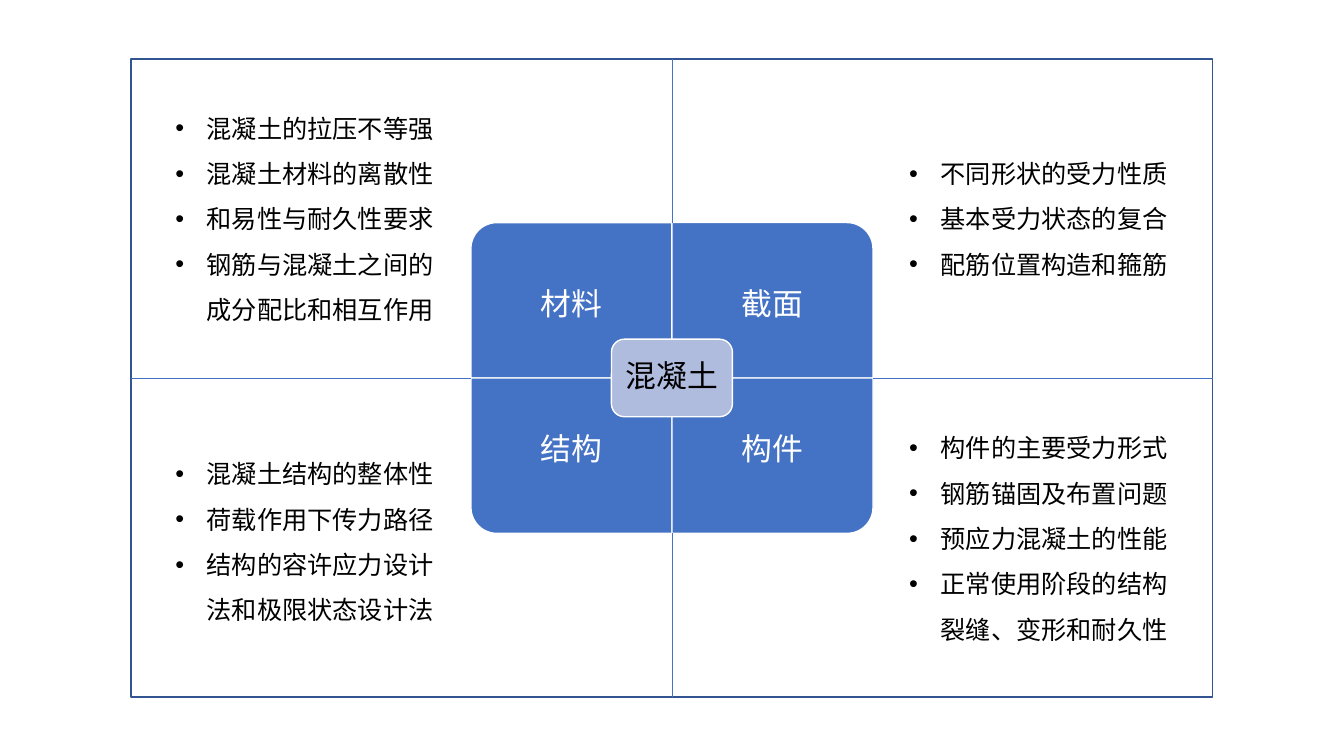
from dataclasses import dataclass
from typing import Any

from lxml import etree
from pptx import Presentation
from pptx import util as u
from pptx.dml import color
from pptx.enum import shapes, text
from pptx.oxml import ns

FONT = "Noto Sans CJK SC"
COLORS = {
    "blue": "4472C4",
    "frame": "325491",
    "hub": "B0BCDE",
    "white": "FFFFFF",
    "black": "000000",
}
CX, CY = 480, 270  # slide centre
FRAME_W, FRAME_H = 386.3, 228  # half sizes of the frame
QUAD_W, QUAD_H = 143.6, 111
LABEL_H = 83
HUB_W, HUB_H = 86.4, 55.4
LIST_W = 205.2
INDENT = 22.5


@dataclass
class Quadrant:
    label: str
    dx: int  # -1 left of centre, 1 right
    dy: int  # -1 above centre, 1 below
    rotation: int
    left: float
    top: float
    height: float
    items: list[str]


QUADRANTS = [
    Quadrant("材料", -1, -1, 270, 118, 66.2, 193, [
        "混凝土的拉压不等强", "混凝土材料的离散性",
        "和易性与耐久性要求", "钢筋与混凝土之间的成分配比和相互作用"]),
    Quadrant("截面", 1, -1, 0, 642.2, 98.6, 127.4, [
        "不同形状的受力性质", "基本受力状态的复合", "配筋位置构造和箍筋"]),
    Quadrant("结构", -1, 1, 180, 118, 313.2, 159.8, [
        "混凝土结构的整体性", "荷载作用下传力路径",
        "结构的容许应力设计法和极限状态设计法"]),
    Quadrant("构件", 1, 1, 90, 642.2, 294.5, 225.4, [
        "构件的主要受力形式", "钢筋锚固及布置问题",
        "预应力混凝土的性能", "正常使用阶段的结构裂缝、变形和耐久性"]),
]


def rgb(name: str) -> color.RGBColor:
    return color.RGBColor.from_string(COLORS[name])


def set_attrs(obj: Any, values: dict[str, Any]) -> None:
    for name, value in values.items():
        setattr(obj, name, value)


def place(sp: Any, x: float, y: float, w: float, h: float) -> None:
    set_attrs(sp, {"left": u.Pt(x), "top": u.Pt(y),
                   "width": u.Pt(w), "height": u.Pt(h)})


def set_frame(tf: Any, anchor: Any, pad_x: float, pad_y: float, fit: Any) -> None:
    set_attrs(tf, {
        "word_wrap": True, "auto_size": fit, "vertical_anchor": anchor,
        "margin_left": u.Pt(pad_x), "margin_right": u.Pt(pad_x),
        "margin_top": u.Pt(pad_y), "margin_bottom": u.Pt(pad_y)})


def add_text(p: Any, words: str, size: float, col: str, align: Any, spacing: float) -> None:
    set_attrs(p, {"alignment": align, "line_spacing": spacing,
                  "space_before": u.Pt(0), "space_after": u.Pt(0)})
    r = p.add_run()
    r.text = words
    set_attrs(r.font, {"size": u.Pt(size), "name": FONT, "bold": False})
    r.font.color.rgb = rgb(col)
    etree.SubElement(r.font._element, ns.qn("a:ea"), typeface=FONT)


def add_label(sp: Any, words: str, col: str, anchor: Any, pad: float) -> None:
    set_frame(sp.text_frame, anchor, pad, pad, text.MSO_AUTO_SIZE.NONE)
    add_text(sp.text_frame.paragraphs[0], words, 22, col, text.PP_ALIGN.CENTER, 0.9)


def add_box(s: Any, kind: Any, cx: float, cy: float, w: float, h: float,
            fill: str | None, line: str) -> Any:
    """Draw a preset shape around a centre point."""
    sp = s.shapes.add_shape(kind, u.Pt(cx - w / 2), u.Pt(cy - h / 2), u.Pt(w), u.Pt(h))
    sp.shadow.inherit = False
    if fill:
        sp.fill.solid()
        sp.fill.fore_color.rgb = rgb(fill)
    else:
        sp.fill.background()
    sp.line.color.rgb = rgb(line)
    sp.line.width = u.Pt(1)
    return sp


def add_quadrant(s: Any, q: Quadrant) -> None:
    w, h = (QUAD_H, QUAD_W) if q.rotation % 180 else (QUAD_W, QUAD_H)
    sp = add_box(s, shapes.MSO_SHAPE.ROUND_1_RECTANGLE, CX + q.dx * QUAD_W / 2,
                 CY + q.dy * QUAD_H / 2, w, h, "blue", "white")
    sp.rotation = q.rotation
    above = q.dy < 0
    x = CX - QUAD_W if q.dx < 0 else CX
    y = CY - QUAD_H if above else CY + QUAD_H - LABEL_H
    box = s.shapes.add_textbox(u.Pt(x), u.Pt(y), u.Pt(QUAD_W), u.Pt(LABEL_H))
    anchor = text.MSO_ANCHOR.BOTTOM if above else text.MSO_ANCHOR.TOP
    add_label(box, q.label, "white", anchor, 12.2)


def add_divider(s: Any, dx: int, dy: int) -> None:
    """Join the quadrants to the frame in one direction."""
    ln = s.shapes.add_connector(
        shapes.MSO_CONNECTOR.STRAIGHT,
        u.Pt(CX + dx * QUAD_W), u.Pt(CY + dy * QUAD_H),
        u.Pt(CX + dx * FRAME_W), u.Pt(CY + dy * FRAME_H))
    ln.line.color.rgb = rgb("blue")
    ln.line.width = u.Pt(0.5)
    etree.SubElement(ln.element.spPr, ns.qn("a:effectLst"))


def fill_list(sp: Any, q: Quadrant) -> None:
    place(sp, q.left, q.top, LIST_W, q.height)
    tf = sp.text_frame
    set_frame(tf, text.MSO_ANCHOR.TOP, 7.2, 3.6, text.MSO_AUTO_SIZE.SHAPE_TO_FIT_TEXT)
    for i, item in enumerate(q.items):
        p = tf.add_paragraph() if i else tf.paragraphs[0]
        pPr = p._p.get_or_add_pPr()
        pPr.set("marL", str(u.Pt(INDENT)))
        pPr.set("indent", str(-u.Pt(INDENT)))
        etree.SubElement(pPr, ns.qn("a:buFont"), typeface="Arial")
        etree.SubElement(pPr, ns.qn("a:buChar"), char="•")
        add_text(p, item, 18, "black", text.PP_ALIGN.LEFT, 1.5)


def bring_to_front(sp: Any) -> None:
    sp.element.getparent().append(sp.element)


def main() -> None:
    prs = Presentation()
    set_attrs(prs, {"slide_width": u.Pt(960), "slide_height": u.Pt(540)})
    s = prs.slides.add_slide(prs.slide_layouts.get_by_name("Comparison"))
    title, *bodies = s.placeholders

    for q in QUADRANTS:
        add_quadrant(s, q)
    add_box(s, shapes.MSO_SHAPE.ROUNDED_RECTANGLE, CX, CY, HUB_W, HUB_H, "hub", "white")
    place(title, CX - HUB_W / 2, CY - HUB_H / 2, HUB_W, HUB_H)
    add_label(title, "混凝土", "black", text.MSO_ANCHOR.MIDDLE, 6.5)
    bring_to_front(title)

    add_box(s, shapes.MSO_SHAPE.RECTANGLE, CX, CY, 2 * FRAME_W, 2 * FRAME_H, None, "frame")
    for dx, dy in [(0, -1), (0, 1), (-1, 0), (1, 0)]:
        add_divider(s, dx, dy)
    for body, q in zip(bodies, QUADRANTS):
        fill_list(body, q)
        bring_to_front(body)
    prs.save("out.pptx")


if __name__ == "__main__":
    main()
